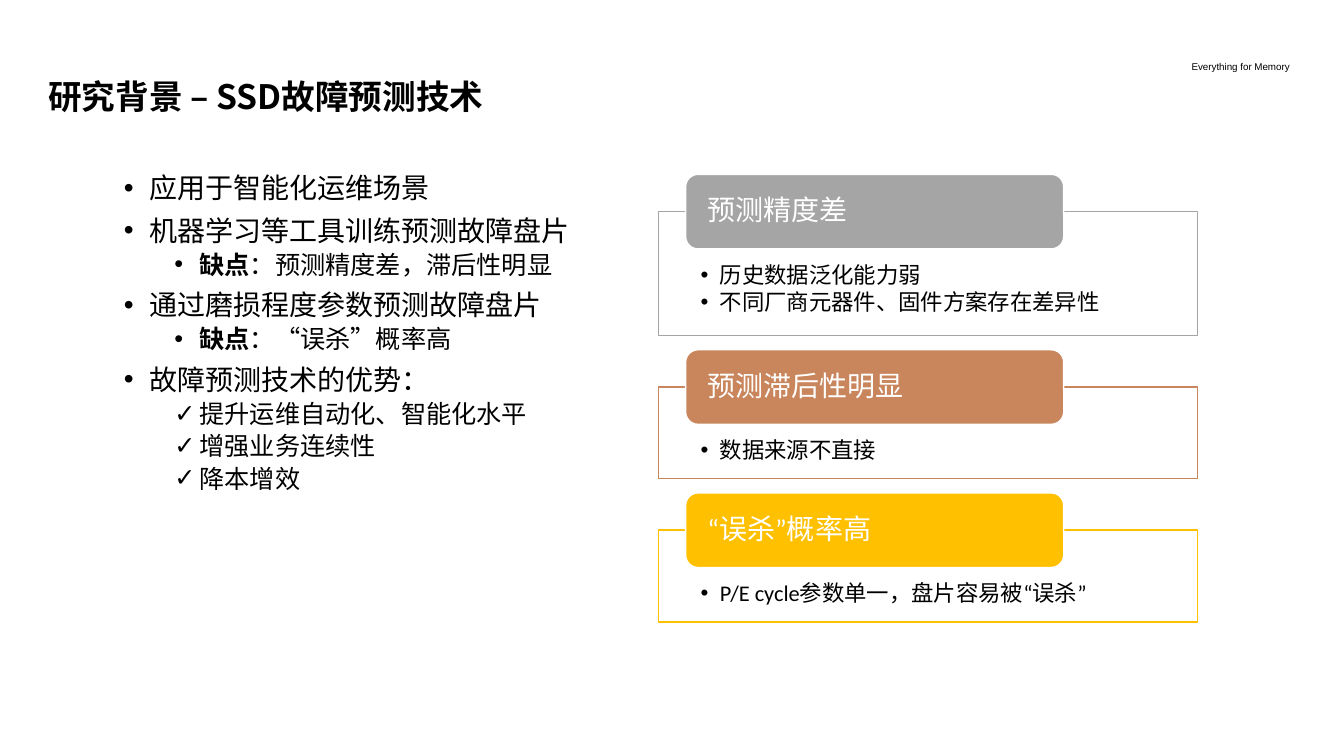
from lxml.etree import SubElement
from pptx import Presentation
from pptx.dml.color import RGBColor
from pptx.enum.shapes import MSO_SHAPE as Shape
from pptx.enum.text import MSO_ANCHOR as Anchor, PP_ALIGN as Align
from pptx.oxml.ns import qn
from pptx.util import Inches, Pt

NOTO = "Noto Sans CJK SC"
CARDS = [
    ("预测精度差", "A5A5A5", 1.23, ["历史数据泛化能力弱", "不同厂商元器件、固件方案存在差异性"]),
    ("预测滞后性明显", "C9855C", 0.91, ["数据来源不直接"]),
    ("“误杀”概率高", "FFC000", 0.91, ["P/E cycle参数单一，盘片容易被“误杀”"]),
]
POINTS = [
    (0, "•", "", "应用于智能化运维场景"),
    (0, "•", "", "机器学习等工具训练预测故障盘片"),
    (1, "•", "缺点", "：预测精度差，滞后性明显"),
    (0, "•", "", "通过磨损程度参数预测故障盘片"),
    (1, "•", "缺点", "：“误杀”概率高"),
    (0, "•", "", "故障预测技术的优势："),
    (1, "✓", "", "提升运维自动化、智能化水平"),
    (1, "✓", "", "增强业务连续性"),
    (1, "✓", "", "降本增效"),
]


def color(code):
    return RGBColor.from_string(code)


def assign(item, values):
    for name, value in values.items():
        setattr(item, name, value)


class Deck:
    """Hold the style and the current slide, and add its elements."""

    def __init__(self):
        self.show = Presentation()
        assign(self.show, {"slide_width": Inches(13.33), "slide_height": Inches(7.5)})
        self.slide = self.show.slides.add_slide(self.show.slide_layouts[5])

    def frame(self, shape, anchor=Anchor.TOP, pad=(0.1, 0.05, 0.1, 0.05)):
        left, top, right, bottom = map(Inches, pad)
        assign(shape.text_frame, {
            "word_wrap": True, "vertical_anchor": anchor,
            "margin_left": left, "margin_top": top,
            "margin_right": right, "margin_bottom": bottom})
        return shape.text_frame

    def run(self, para, text, size, font, tint="000000", bold=False):
        run = para.add_run()
        run.text = text
        assign(run.font, {"size": Pt(size), "name": font, "bold": bold})
        run.font.color.rgb = color(tint)
        props = run._r.get_or_add_rPr()
        props.set("lang", "zh-CN")
        props.find(qn("a:latin")).addnext(SubElement(props, qn("a:ea"), typeface=font))

    def para(self, frame, first, **style):
        para = frame.paragraphs[0] if first else frame.add_paragraph()
        assign(para, {"alignment": Align.LEFT, **style})
        return para

    def bullet(self, para, mark, left, hang):
        props = para._p.get_or_add_pPr()
        props.set("marL", str(Inches(left)))
        props.set("indent", str(Inches(-hang)))
        SubElement(props, qn("a:buFont"), typeface="Arial")
        SubElement(props, qn("a:buChar"), char=mark)

    def title(self, text, *box):
        shape = self.slide.shapes.title
        assign(shape, dict(zip(("left", "top", "width", "height"), map(Inches, box))))
        frame = self.frame(shape, Anchor.MIDDLE)
        self.run(self.para(frame, True, line_spacing=0.9), text, 24, NOTO, bold=True)

    def text(self, *box, **style):
        return self.frame(self.slide.shapes.add_textbox(*map(Inches, box)), **style)

    def shape(self, kind, box, fill, line):
        shape = self.slide.shapes.add_shape(kind, *map(Inches, box))
        shape.shadow.inherit = False
        shape.fill.solid()
        shape.fill.fore_color.rgb = color(fill)
        shape.line.color.rgb = color(line)
        shape.line.width = Pt(1)
        return shape

    def points(self, rows, *box):
        frame = self.text(*box, pad=(0.1, 0.07, 0.1, 0.05))
        for i, (level, mark, lead, text) in enumerate(rows):
            size = 18 if level else 20
            para = self.para(frame, i == 0, level=level, line_spacing=0.84,
                             space_before=Pt(5 if level else 10))
            self.bullet(para, mark, 0.25 + 0.5 * level, 0.25)
            if lead:
                self.run(para, lead, size, NOTO, bold=True)
            self.run(para, text, size, NOTO)

    def card(self, top, head, tint, height, lines):
        panel = self.shape(Shape.RECTANGLE, (6.53, top + 0.37, 5.35, height), "FFFFFF", tint)
        frame = self.frame(panel, pad=(0.42, 0.52, 0.42, 0.12))
        for i, line in enumerate(lines):
            para = self.para(frame, i == 0, line_spacing=0.9, space_after=Pt(2.4))
            self.bullet(para, "•", 0.19, 0.19)
            self.run(para, line, 16, "Calibri")
        label = self.shape(Shape.ROUNDED_RECTANGLE, (6.8, top, 3.75, 0.74), tint, "FFFFFF")
        frame = self.frame(label, Anchor.MIDDLE, (0.18, 0, 0.18, 0))
        self.run(self.para(frame, True, line_spacing=0.9), head, 20, "Calibri", "FFFFFF")


def main():
    deck = Deck()
    note = deck.text(11.72, 0.55, 1.18, 0.22)
    deck.run(deck.para(note, True), "Everything for Memory", 7, "Arial")
    deck.title("研究背景 – SSD故障预测技术", 0.38, 0.56, 11.5, 0.83)
    deck.points(POINTS, 1.13, 1.68, 5.41, 4.63)
    top = 1.73
    for head, tint, height, lines in CARDS:
        deck.card(top, head, tint, height, lines)
        top += 0.37 + height + 0.14
    deck.show.save("out.pptx")


if __name__ == "__main__":
    main()
